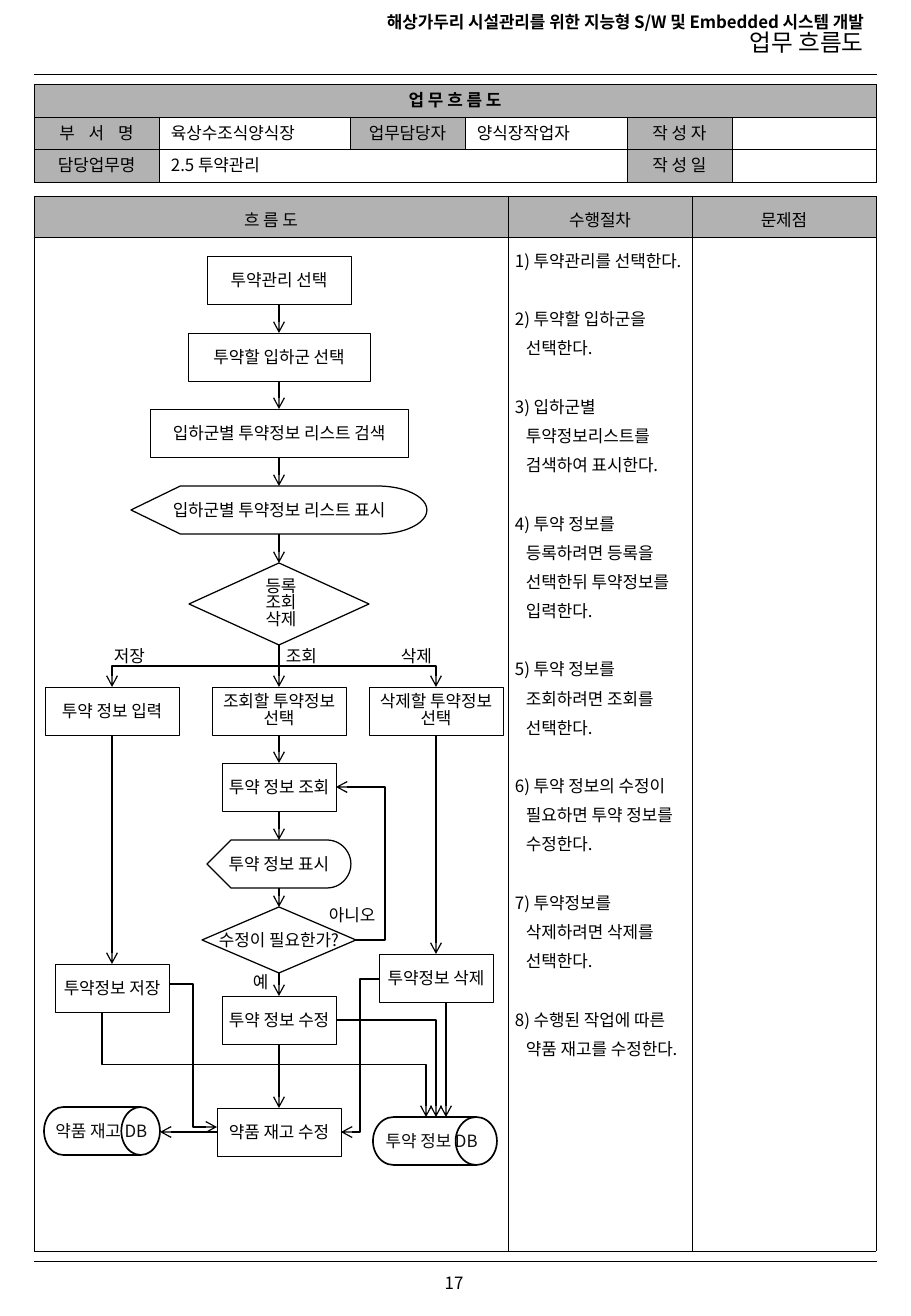
from dataclasses import dataclass
from itertools import pairwise

from lxml import etree
from pptx import Presentation
from pptx.dml.color import RGBColor
from pptx.enum.shapes import MSO_CONNECTOR, MSO_SHAPE
from pptx.enum.text import MSO_ANCHOR, MSO_AUTO_SIZE, PP_ALIGN
from pptx.oxml.ns import qn
from pptx.util import Pt

PROCESS = MSO_SHAPE.FLOWCHART_PROCESS
DISPLAY = MSO_SHAPE.FLOWCHART_DISPLAY
DECISION = MSO_SHAPE.FLOWCHART_DECISION
DRUM = MSO_SHAPE.FLOWCHART_DIRECT_ACCESS_STORAGE
STRAIGHT, ELBOW = MSO_CONNECTOR.STRAIGHT, MSO_CONNECTOR.ELBOW
LEFT, CENTER, RIGHT = PP_ALIGN.LEFT, PP_ALIGN.CENTER, PP_ALIGN.RIGHT
TOP, MIDDLE = MSO_ANCHOR.TOP, MSO_ANCHOR.MIDDLE
TOP_SITE, BOTTOM_SITE = 0, 2
PX = 914400 / 121.5


@dataclass(frozen=True)
class Theme:
    """Colours, font, type sizes and line weights."""
    ink: RGBColor = RGBColor(0, 0, 0)
    drum_ink: RGBColor = RGBColor(0x0D, 0x0D, 0x0D)
    shade: RGBColor = RGBColor(0xB2, 0xB2, 0xB2)
    font: str = "Noto Sans CJK KR"
    body: int = 10
    heading: int = 14
    hairline: float = 0.25
    flow: float = 0.75
    drum: float = 1


THEME = Theme()


def write(frame, text, align=CENTER, sizes=(THEME.body,), bold=(False,), color=THEME.ink,
          leading=None, after=0, hanging=0, tracking=0):
    """Fill a text frame, one paragraph per line; sizes and bold cycle by line."""
    for number, line in enumerate(text.split("\n")):
        paragraph = frame.paragraphs[0] if number == 0 else frame.add_paragraph()
        paragraph.alignment = align
        paragraph.space_before, paragraph.space_after = Pt(0), Pt(after)
        if leading:
            paragraph.line_spacing = leading
        size = sizes[number % len(sizes)]
        properties = paragraph._p.get_or_add_pPr()
        properties.set("marL", str(round(hanging * PX)))
        properties.set("indent", str(round(-hanging * PX)))
        if not line:
            paragraph._p.get_or_add_endParaRPr().set("sz", str(size * 100))
            continue
        run = paragraph.add_run()
        run.text = line
        run.font.size, run.font.bold = Pt(size), bold[number % len(bold)]
        run.font.name, run.font.color.rgb = THEME.font, color
        run_properties = run.font._element
        etree.SubElement(run_properties, qn("a:ea")).set("typeface", THEME.font)
        if tracking:
            run_properties.set("spc", str(tracking * 100))


def connect(kind, x1, y1, x2, y2, weight=THEME.flow, arrow=True):
    """Add a plain connector between two pixel points and return it."""
    link = slide.shapes.add_connector(kind, *(round(v * PX) for v in (x1, y1, x2, y2)))
    link.line.color.rgb = THEME.ink
    link.line.width = Pt(weight)
    if arrow:
        etree.SubElement(link.line._ln, qn("a:tailEnd")).set("type", "arrow")
    etree.SubElement(link._element.spPr, qn("a:effectLst"))
    return link


deck = Presentation()
deck.slide_width, deck.slide_height = round(911 * PX), round(1316 * PX)
slide = deck.slides.add_slide(deck.slide_layouts[5])

# Page header and footer
header = slide.shapes.title
header.left, header.top, header.width, header.height = (round(v * PX) for v in (283, 8, 593, 62))
header.text_frame.auto_size = MSO_AUTO_SIZE.NONE
header.text_frame.vertical_anchor = TOP
write(header.text_frame, "해상가두리 시설관리를 위한 지능형 S/W 및 Embedded 시스템 개발\n업무 흐름도",
      align=RIGHT, sizes=(THEME.body, THEME.heading), bold=(True, False), leading=0.88)
for rule_y in (74, 1261):
    connect(STRAIGHT, 34, rule_y, 877, rule_y, THEME.hairline, arrow=False)

# Tables: each cell is (row, column, columns spanned, text, shaded, format)
procedure = "\n".join([
    "1) 투약관리를 선택한다.",
    "2) 투약할 입하군을 선택한다.",
    "3) 입하군별 투약정보리스트를 검색하여 표시한다.",
    "4) 투약 정보를 등록하려면 등록을 선택한뒤 투약정보를 입력한다.",
    "5) 투약 정보를 조회하려면 조회를 선택한다.",
    "6) 투약 정보의 수정이 필요하면 투약 정보를 수정한다.",
    "7) 투약정보를 삭제하려면 삭제를 선택한다.",
    "8) 수행된 작업에 따른 약품 재고를 수정한다."])
left_aligned = {"align": LEFT}
work_cells = [
    (0, 0, 6, "업 무 흐 름 도", True, {"bold": (True,)}),
    (1, 0, 1, "부 서 명", True, {"tracking": 3}),
    (1, 1, 1, "육상수조식양식장", False, left_aligned),
    (1, 2, 1, "업무담당자", True, {}),
    (1, 3, 1, "양식장작업자", False, left_aligned),
    (1, 4, 1, "작 성 자", True, {}),
    (1, 5, 1, "", False, {}),
    (2, 0, 1, "담당업무명", True, {}),
    (2, 1, 3, "2.5 투약관리", False, left_aligned),
    (2, 4, 1, "작 성 일", True, {}),
    (2, 5, 1, "", False, {})]
flow_cells = [(0, column, 1, text, True, {"leading": 1.2})
              for column, text in enumerate(("흐 름 도", "수행절차", "문제점"))]
flow_cells += [
    (1, 0, 1, "", False, {}),
    (1, 1, 1, procedure, False,
     {"align": LEFT, "leading": 1.2, "after": 17.4, "hanging": 11}),
    (1, 2, 1, "", False, {})]
tables = [
    (84, (125, 191, 115, 162, 105, 144), (33, 32, 33), work_cells, 12, MIDDLE, 0.8),
    (196, (474, 184, 184), (36, 1014), flow_cells, 7, TOP, 1.2)]
for top, widths, heights, cells, inset, anchor, leading in tables:
    frame = slide.shapes.add_table(len(heights), len(widths), round(34 * PX), round(top * PX),
                                   round(sum(widths) * PX), round(sum(heights) * PX))
    table = frame.table
    for column, width in zip(table.columns, widths):
        column.width = round(width * PX)
    for row, height in zip(table.rows, heights):
        row.height = round(height * PX)
    for row, column, span, text, shaded, text_format in cells:
        cell = table.cell(row, column)
        if span > 1:
            cell.merge(table.cell(row, column + span - 1))
        cell.margin_left = cell.margin_right = round(inset * PX)
        cell.margin_top = cell.margin_bottom = round(6 * PX)
        cell.vertical_anchor = anchor
        write(cell.text_frame, text, **{"leading": leading, **text_format})
    shaded_cells = {(row, column + i) for row, column, span, _, shaded, _ in cells
                    if shaded for i in range(span)}
    for row in range(len(heights)):
        for column in range(len(widths)):
            cell = table.cell(row, column)
            properties = cell._tc.get_or_add_tcPr()
            for side in ("lnL", "lnR", "lnT", "lnB"):
                border = etree.SubElement(properties, qn(f"a:{side}"), w=str(Pt(THEME.hairline)))
                ink = etree.SubElement(border, qn("a:solidFill"))
                etree.SubElement(ink, qn("a:srgbClr")).set("val", str(THEME.ink))
            if (row, column) in shaded_cells:
                cell.fill.solid()
                cell.fill.fore_color.rgb = THEME.shade
            else:
                cell.fill.background()

# Flow steps: shape, centre x, top, width, height, text, left inset
main_steps = [
    (PROCESS, 279, 256, 144, 48, "투약관리 선택", 0),
    (PROCESS, 279, 333, 182, 48, "투약할 입하군 선택", 0),
    (PROCESS, 279, 409, 258, 48, "입하군별 투약정보 리스트 검색", 0),
    (DISPLAY, 279, 486, 296, 48, "입하군별 투약정보 리스트 표시", 0),
    (DECISION, 279, 563, 180, 82, "등록\n조회\n삭제", 4),
    (PROCESS, 279, 687, 134, 48, "조회할 투약정보\n선택", 0),
    (PROCESS, 279, 763, 114, 48, "투약 정보 조회", 0),
    (DISPLAY, 279, 840, 144, 48, "투약 정보 표시", 0),
    (DECISION, 279, 907, 154, 66, "수정이 필요한가?", 0),
    (PROCESS, 279, 996, 114, 48, "투약 정보 수정", 0),
    (PROCESS, 279, 1108, 124, 48, "약품 재고 수정", 0)]
save_steps = [
    (PROCESS, 112, 687, 134, 48, "투약 정보 입력", 0),
    (PROCESS, 112, 964, 114, 48, "투약정보 저장", 0)]
delete_steps = [
    (PROCESS, 436, 687, 134, 48, "삭제할 투약정보\n선택", 0),
    (PROCESS, 436, 954, 114, 48, "투약정보 삭제", 0)]
stock_store = [(DRUM, 102, 1107, 116, 48, "약품 재고 DB", 18)]
dose_store = [(DRUM, 435, 1117, 124, 48, "투약 정보 DB", 14)]
weights = {PROCESS: THEME.hairline, DRUM: THEME.drum}
for branch in (main_steps, save_steps, delete_steps, stock_store, dose_store):
    placed = []
    for kind, center, top, width, height, text, inset in branch:
        step = slide.shapes.add_shape(
            kind, *(round(v * PX) for v in (center - width / 2, top, width, height)))
        step.shadow.inherit = False
        step.fill.background()
        step.line.color.rgb = THEME.ink
        step.line.width = Pt(weights.get(kind, THEME.flow))
        label = step.text_frame
        label.word_wrap, label.vertical_anchor = False, MIDDLE
        label.margin_left = round(inset * PX)
        label.margin_right = label.margin_top = label.margin_bottom = 0
        write(label, text, color=THEME.drum_ink if kind == DRUM else THEME.ink,
              leading=0.82 if "\n" in text else None)
        placed.append(step)
    for upper, lower in pairwise(placed):
        link = connect(STRAIGHT, 0, 0, 0, 0)
        link.begin_connect(upper, BOTTOM_SITE)
        link.end_connect(lower, TOP_SITE)

# Links between branches
connect(STRAIGHT, 217, 1132, 160, 1132)
connect(STRAIGHT, 446, 1002, 446, 1117)
connect(ELBOW, 169, 984, 217, 1127)
connect(ELBOW, 379, 979, 341, 1132)
for x1, y1, x2, y2 in ((279, 645, 112, 687), (279, 645, 436, 687), (102, 1012, 426, 1117)):
    mid_x, mid_y = (x1 + x2) / 2, (y1 + y2) / 2
    half_run, half_rise = (y2 - y1) / 2, abs(x2 - x1) / 2
    turn = 1 if x2 < x1 else -1
    drop = connect(ELBOW, mid_x - turn * half_run, mid_y - half_rise,
                   mid_x + turn * half_run, mid_y + half_rise)
    drop._element.spPr.xfrm.set("rot", str(turn * 90 % 360 * 60000))
back_to_view = connect(ELBOW, 355, 940, 336, 787)
guides = back_to_view._element.spPr.find(qn("a:prstGeom")).find(qn("a:avLst"))
etree.SubElement(guides, qn("a:gd"), name="adj1", fmla="val -158000")
edit_to_store = connect(ELBOW, 336, 1020, 436, 1117)
edit_to_store._element.spPr.find(qn("a:prstGeom")).set("prst", "bentConnector2")

# Branch labels and page number
for left, top, width, text, align in (
        (102, 639, 67, "저장", LEFT), (274, 639, 67, "조회", LEFT), (389, 639, 67, "삭제", LEFT),
        (317, 898, 77, "아니오", LEFT), (241, 965, 77, "예", LEFT), (404, 1266, 100, "17", CENTER)):
    note = slide.shapes.add_textbox(*(round(v * PX) for v in (left, top, width, 33)))
    note.text_frame.word_wrap, note.text_frame.vertical_anchor = True, MIDDLE
    note.text_frame.margin_top = note.text_frame.margin_bottom = 0
    write(note.text_frame, text, align=align)

deck.save("out.pptx")
